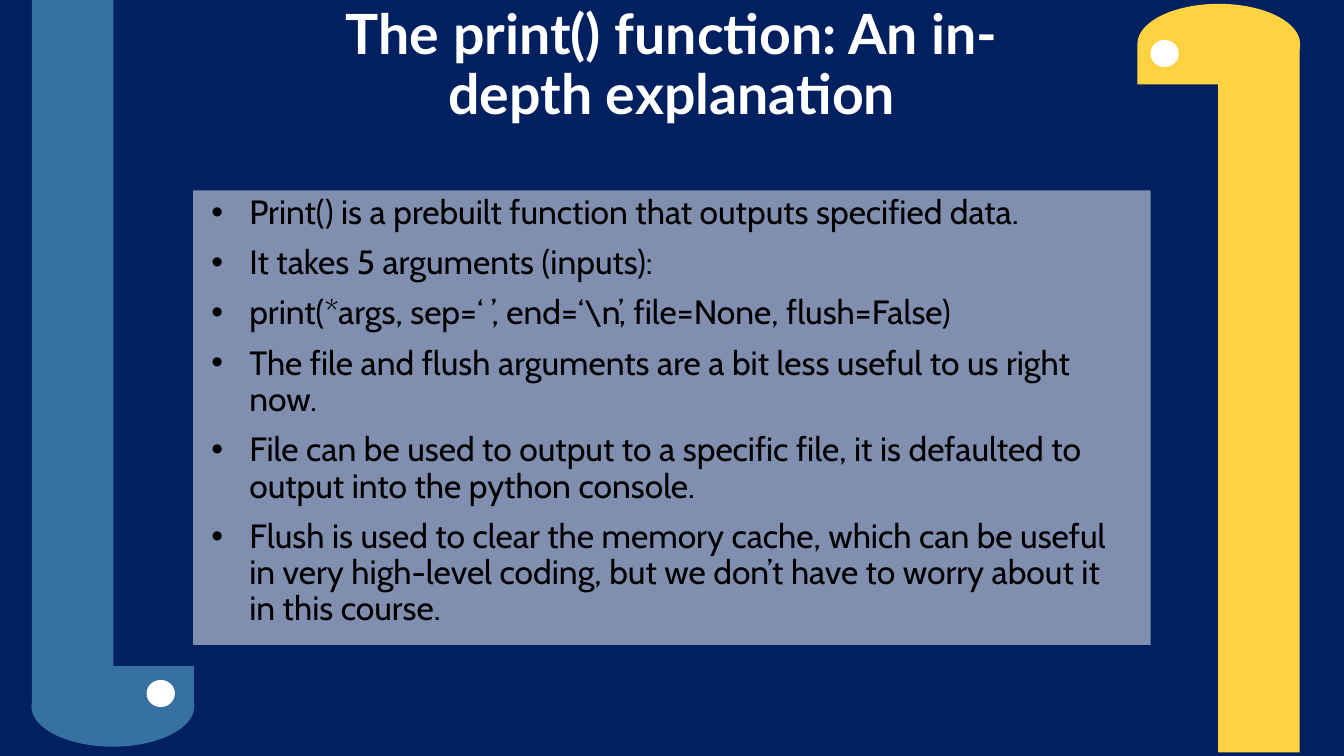
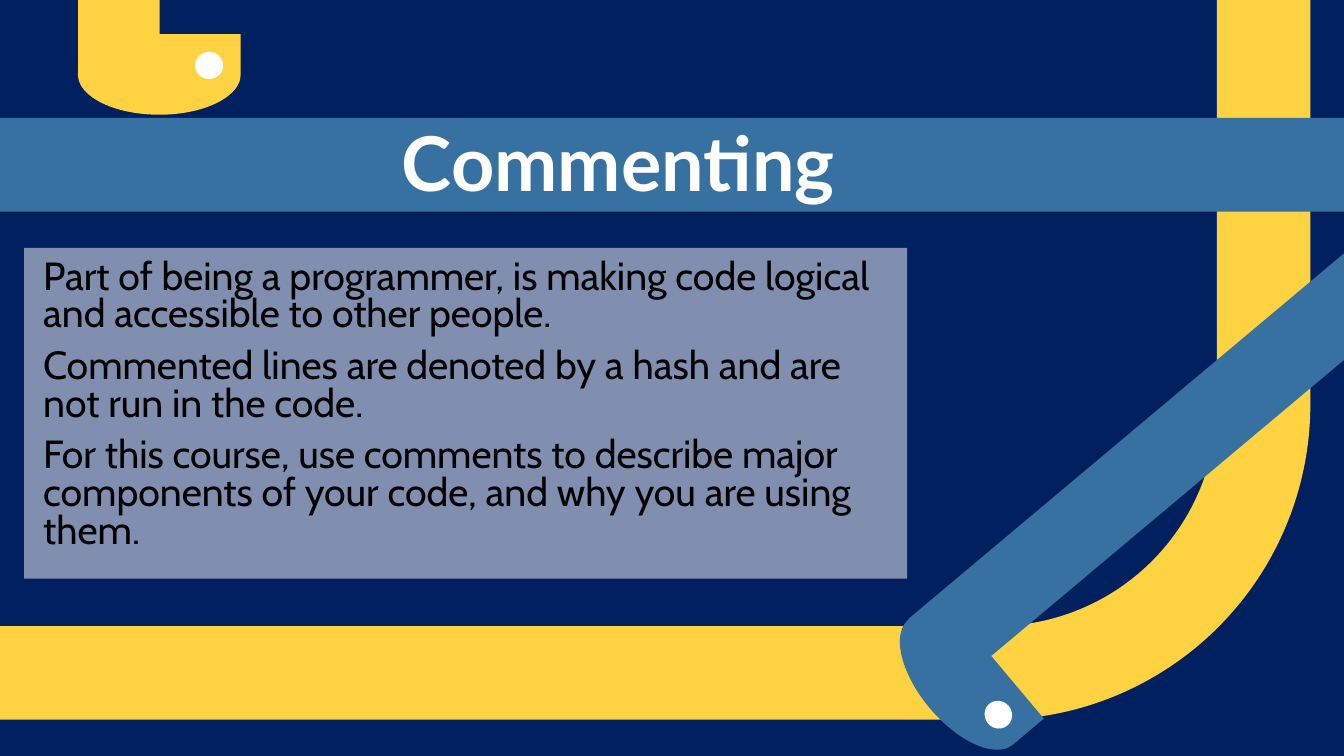
from lxml import etree
from pptx import Presentation
from pptx.dml.color import RGBColor
from pptx.enum.shapes import MSO_SHAPE
from pptx.enum.text import MSO_ANCHOR, PP_ALIGN
from pptx.oxml.ns import qn
from pptx.util import Pt

# Shared style
NAVY = RGBColor(0x00, 0x20, 0x60)
BLUE = RGBColor(0x37, 0x71, 0xA1)
YELLOW = RGBColor(0xFF, 0xD2, 0x42)
WHITE = RGBColor(0xFF, 0xFF, 0xFF)
BLACK = RGBColor(0x00, 0x00, 0x00)
RECTANGLE = MSO_SHAPE.RECTANGLE
TEARDROP = MSO_SHAPE.TEAR
CIRCLE = MSO_SHAPE.FLOWCHART_CONNECTOR
BENT_ARROW = MSO_SHAPE.BENT_ARROW
LEFT, CENTER = PP_ALIGN.LEFT, PP_ALIGN.CENTER
TOP, BOTTOM = MSO_ANCHOR.TOP, MSO_ANCHOR.BOTTOM
TITLE_STYLE = dict(font="Lato", color=WHITE, bold=True, anchor=BOTTOM)
BODY_STYLE = dict(font="Cabin", color=BLACK, space_before=10)
THICKNESS = 58.3
HEAD_SIZE = (57.6, 116.3)
EYE_SIZE = (19.4, 20.2)


def add_part(slide, kind, left, top, width, height, color,
             rotation=0, flips=(), opacity=100):
    shape = slide.shapes.add_shape(
        kind, Pt(left), Pt(top), Pt(width), Pt(height))
    shape.shadow.inherit = False
    shape.line.fill.background()
    shape.fill.solid()
    shape.fill.fore_color.rgb = color
    shape.rotation = rotation
    for flip in flips:
        shape.element.spPr.xfrm.set(flip, "1")
    if opacity < 100:
        fill_color = shape.element.spPr.find(".//" + qn("a:srgbClr"))
        alpha = etree.SubElement(fill_color, qn("a:alpha"))
        alpha.set("val", str(opacity * 1000))
    return shape


def write_text(slide, lines, left, top, width, height, *, font, size, color,
               bold=False, align=LEFT, anchor=TOP, line_spacing=0.9,
               space_before=0, bullet_indent=0):
    box = slide.shapes.add_textbox(Pt(left), Pt(top), Pt(width), Pt(height))
    frame = box.text_frame
    frame.word_wrap = True
    frame.vertical_anchor = anchor
    for index, line in enumerate(lines):
        paragraph = frame.paragraphs[0] if index == 0 else frame.add_paragraph()
        paragraph.alignment = align
        paragraph.line_spacing = line_spacing
        paragraph.space_before = Pt(space_before)
        if bullet_indent:
            properties = paragraph._p.get_or_add_pPr()
            properties.set("marL", str(Pt(bullet_indent)))
            properties.set("indent", str(-Pt(bullet_indent)))
            etree.SubElement(properties, qn("a:buFont")).set("typeface", "Arial")
            etree.SubElement(properties, qn("a:buChar")).set("char", "•")
        run = paragraph.add_run()
        run.text = line
        run.font.name = font
        run.font.size = Pt(size)
        run.font.bold = bold
        run.font.color.rgb = color


presentation = Presentation()
presentation.slide_width, presentation.slide_height = Pt(960), Pt(540)
slides = []
for _ in range(2):
    slide = presentation.slides.add_slide(presentation.slide_layouts[6])
    slide.background.fill.solid()
    slide.background.fill.fore_color.rgb = NAVY
    slides.append(slide)
print_slide, comment_slide = slides

# Slide 1: title and bullets
write_text(print_slide, ["The print() function: An in-depth explanation"],
           232.6, 0.7, 494.6, 92.9, size=39.6, align=CENTER, **TITLE_STYLE)
add_part(print_slide, RECTANGLE, 138, 136, 684, 324.7, WHITE, opacity=50)
write_text(print_slide, [
    "Print() is a prebuilt function that outputs specified data.",
    "It takes 5 arguments (inputs):",
    "print(*args, sep=‘ ’, end=‘\\n’, file=None, flush=False)",
    "The file and flush arguments are a bit less useful to us right now.",
    "File can be used to output to a specific file, it is defaulted to "
    "output into the python console.",
    "Flush is used to clear the memory cache, which can be useful in very "
    "high-level coding, but we don’t have to worry about it in this course.",
], 144, 136, 671.8, 324.7, size=24, bullet_indent=27, **BODY_STYLE)

# Slide 2: long bent snake, title band and text
bent_snake = add_part(comment_slide, BENT_ARROW, -0.7, 0, 936.7, 514.1, YELLOW,
                      flips=("flipH", "flipV"))
for index, value in enumerate((0.139, 0.065, 0, 0.438)):
    bent_snake.adjustments[index] = value
add_part(comment_slide, RECTANGLE, 0, 84.2, 960, 67, BLUE)
write_text(comment_slide, ["Commenting"], 280, 82, 548.6, 69.8,
           size=54, **TITLE_STYLE)
add_part(comment_slide, RECTANGLE, 17.3, 177.1, 630.7, 236.2, WHITE, opacity=50)
write_text(comment_slide, [
    "Part of being a programmer, is making code logical and accessible to "
    "other people.",
    "Commented lines are denoted by a hash and are not run in the code.",
    "For this course, use comments to describe major components of your "
    "code, and why you are using them.",
], 23.8, 182.2, 614.9, 224.6, size=28, line_spacing=0.8, **BODY_STYLE)

# Straight snakes: color, body box, body turn, head corner, head turn, eye corner
SNAKES = [
    (print_slide, YELLOW, (870.1, 32, THICKNESS, 505.5), 0,
     (841.7, -26.6), 270, (822.2, 28.1)),
    (print_slide, BLUE, (22.7, 0, THICKNESS, 506), 0,
     (51.8, 446.4), 90, (105.1, 485.3)),
    (comment_slide, YELLOW, (55.8, 0, THICKNESS, 52.9), 0,
     (85, -5), 90, (139.7, 36.7)),
    (comment_slide, BLUE, (604.1, 261.4, 541.4, THICKNESS), 140,
     (657.4, 429.1), 140, (703.4, 500.4)),
]
for slide, color, body, body_turn, head, head_turn, eye in SNAKES:
    add_part(slide, RECTANGLE, *body, color, rotation=body_turn)
    add_part(slide, TEARDROP, *head, *HEAD_SIZE, color,
             rotation=head_turn, flips=("flipH",))
    add_part(slide, CIRCLE, *eye, *EYE_SIZE, WHITE, rotation=head_turn)

presentation.save("out.pptx")
